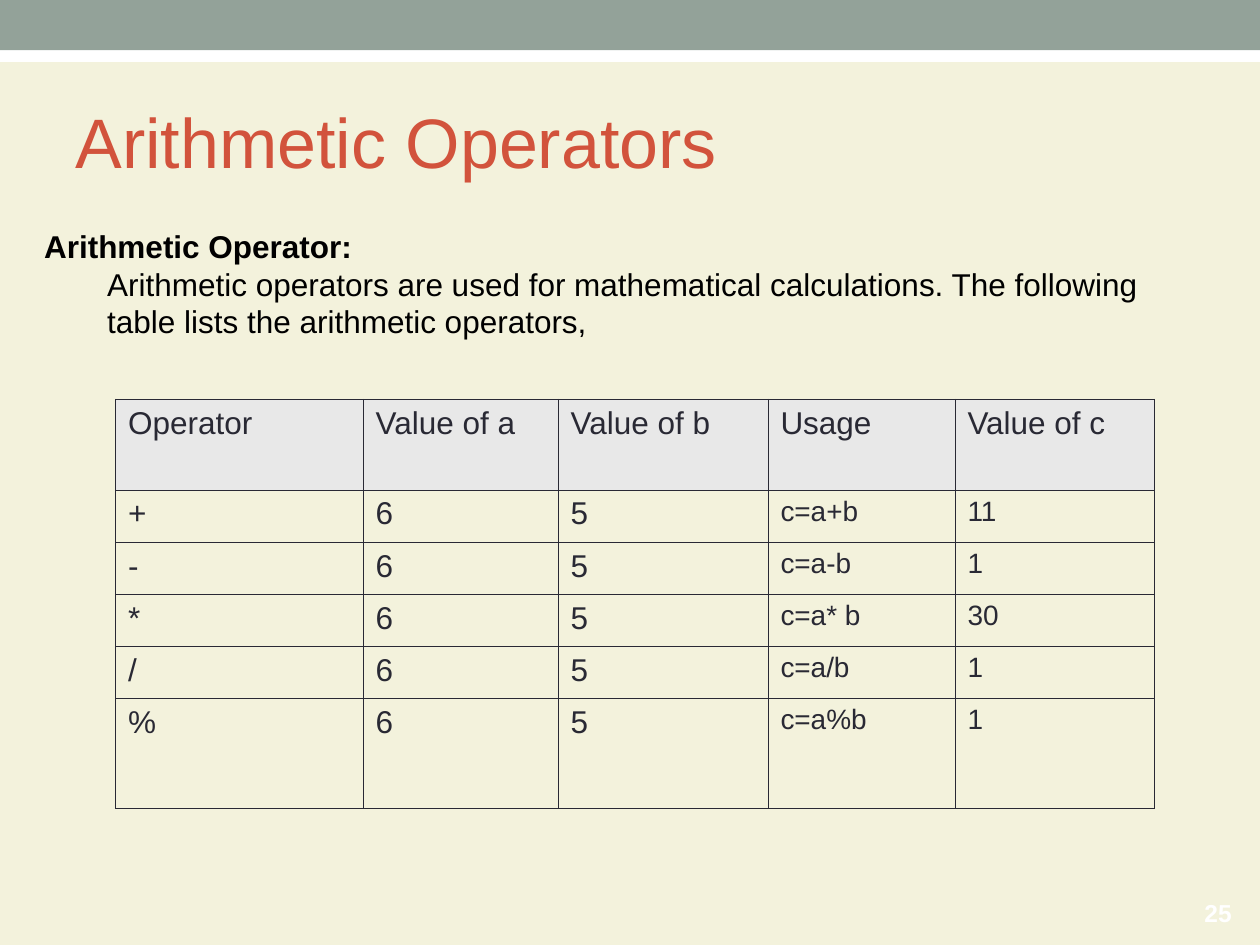
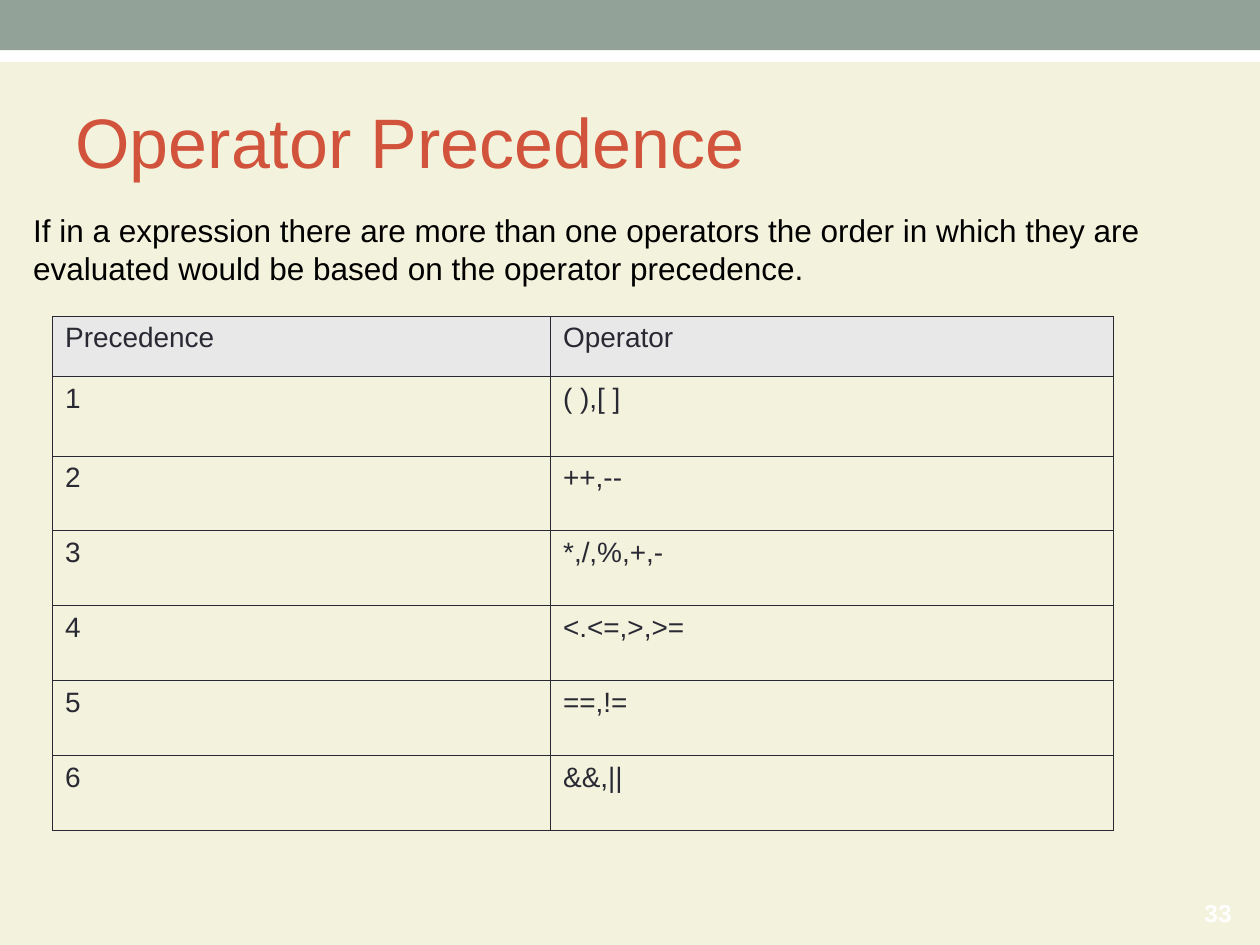
from lxml import etree
from pptx import Presentation
from pptx import util as u
from pptx.dml.color import RGBColor
from pptx.enum import shapes, text
from pptx.oxml.ns import qn

COLORS = {
    "background": "F3F2DC",
    "band": "93A299",
    "white": "FFFFFF",
    "title": "D2533C",
    "body": "000000",
    "table": "292934",
    "header": "E8E8E8",
}
FONT = "Arial"


def write_text(paragraph, content, size=18, color="body", bold=False, indent=0, align="LEFT"):
    paragraph.alignment = getattr(text.PP_ALIGN, align)
    if indent:
        paragraph._p.get_or_add_pPr().set("marL", str(u.Cm(indent)))
    run = paragraph.add_run()
    run.text = content
    run.font.name = FONT
    run.font.size = u.Pt(size)
    run.font.bold = bold
    run.font.color.rgb = RGBColor.from_string(COLORS[color])


def add_borders(cell):
    properties = cell._tc.get_or_add_tcPr()
    for side in ("lnL", "lnR", "lnT", "lnB"):
        line = etree.SubElement(properties, qn(f"a:{side}"), w=str(u.Pt(0.45)))
        fill = etree.SubElement(line, qn("a:solidFill"))
        etree.SubElement(fill, qn("a:srgbClr"), val=COLORS["table"])


operations = [("+", "c=a+b", "11"), ("-", "c=a-b", "1"), ("*", "c=a* b", "30"),
              ("/", "c=a/b", "1"), ("%", "c=a%b", "1")]
precedence = ["( ),[ ]", "++,--", "*,/,%,+,-", "<.<=,>,>=", "==,!=", "&&,||"]

pages = [
    {
        "title": "Arithmetic Operators",
        "number": "25",
        "body_box": (0.64, 4.45, 23.92, 2.54),
        "body": [
            ("Arithmetic Operator:", {"bold": True}),
            ("Arithmetic operators are used for mathematical calculations. "
             "The following table lists the arithmetic operators,", {"indent": 1.27}),
        ],
        "table_at": (2.33, 8.05),
        "columns": [4.99, 3.93, 4.23, 3.77, 4.03],
        "heights": [1.83] + [1.05] * 4 + [2.21],
        "sizes": [18, 18, 18, 16, 16],
        "header_size": 18,
        "rows": [("Operator", "Value of a", "Value of b", "Usage", "Value of c")]
        + [(operator, "6", "5", usage, result) for operator, usage, result in operations],
    },
    {
        "title": "Operator Precedence",
        "number": "33",
        "body_box": (0.42, 4.13, 23.5, 1.78),
        "body": [
            ("If in a expression there are more than one operators the order in which they are "
             "evaluated would be based on the operator precedence.", {}),
        ],
        "table_at": (1.06, 6.38),
        "columns": [10.04, 11.34],
        "heights": [1.21, 1.6] + [1.51] * 5,
        "sizes": [16, 16],
        "header_size": 16,
        "rows": [("Precedence", "Operator")]
        + [(str(rank), operators) for rank, operators in enumerate(precedence, 1)],
    },
]
bands = [("white", 0.61, 0.64), ("band", 0, 1.01)]

presentation = Presentation()
presentation.slide_width = u.Cm(25.4)
presentation.slide_height = u.Cm(19.05)
background = presentation.slide_master.background.fill
background.solid()
background.fore_color.rgb = RGBColor.from_string(COLORS["background"])

for page in pages:
    slide = presentation.slides.add_slide(presentation.slide_layouts[5])

    for color, top, height in bands:
        shape = slide.shapes.add_shape(shapes.MSO_SHAPE.RECTANGLE, 0, u.Cm(top),
                                       presentation.slide_width, u.Cm(height))
        shape.shadow.inherit = False
        shape.fill.solid()
        shape.fill.fore_color.rgb = RGBColor.from_string(COLORS[color])
        shape.line.fill.background()

    title = slide.shapes.title
    title.left, title.top, title.width, title.height = map(u.Cm, (1.27, 1.47, 22.86, 2.74))
    title.text_frame.auto_size = text.MSO_AUTO_SIZE.NONE
    title.text_frame.vertical_anchor = text.MSO_ANCHOR.MIDDLE
    write_text(title.text_frame.paragraphs[0], page["title"], size=40, color="title")

    body = slide.shapes.add_textbox(*map(u.Cm, page["body_box"])).text_frame
    body.word_wrap = True
    for index, (content, style) in enumerate(page["body"]):
        paragraph = body.add_paragraph() if index else body.paragraphs[0]
        write_text(paragraph, content, **style)

    rows, columns, heights = page["rows"], page["columns"], page["heights"]
    table = slide.shapes.add_table(len(rows), len(columns), *map(u.Cm, page["table_at"]),
                                   u.Cm(sum(columns)), u.Cm(sum(heights))).table
    table.first_row = False
    table.horz_banding = False
    for column, width in zip(table.columns, columns):
        column.width = u.Cm(width)
    for row_index, (row, height) in enumerate(zip(rows, heights)):
        table.rows[row_index].height = u.Cm(height)
        for column_index, content in enumerate(row):
            cell = table.cell(row_index, column_index)
            add_borders(cell)
            if row_index == 0:
                cell.fill.solid()
                cell.fill.fore_color.rgb = RGBColor.from_string(COLORS["header"])
                size = page["header_size"]
            else:
                cell.fill.background()
                size = page["sizes"][column_index]
            write_text(cell.text_frame.paragraphs[0], content, size=size, color="table")

    number = slide.shapes.add_textbox(u.Cm(22.86), u.Cm(17.9), u.Cm(2.22), u.Cm(1)).text_frame
    number.word_wrap = True
    number.vertical_anchor = text.MSO_ANCHOR.MIDDLE
    write_text(number.paragraphs[0], page["number"], size=14, color="white", bold=True, align="RIGHT")

presentation.save("out.pptx")
